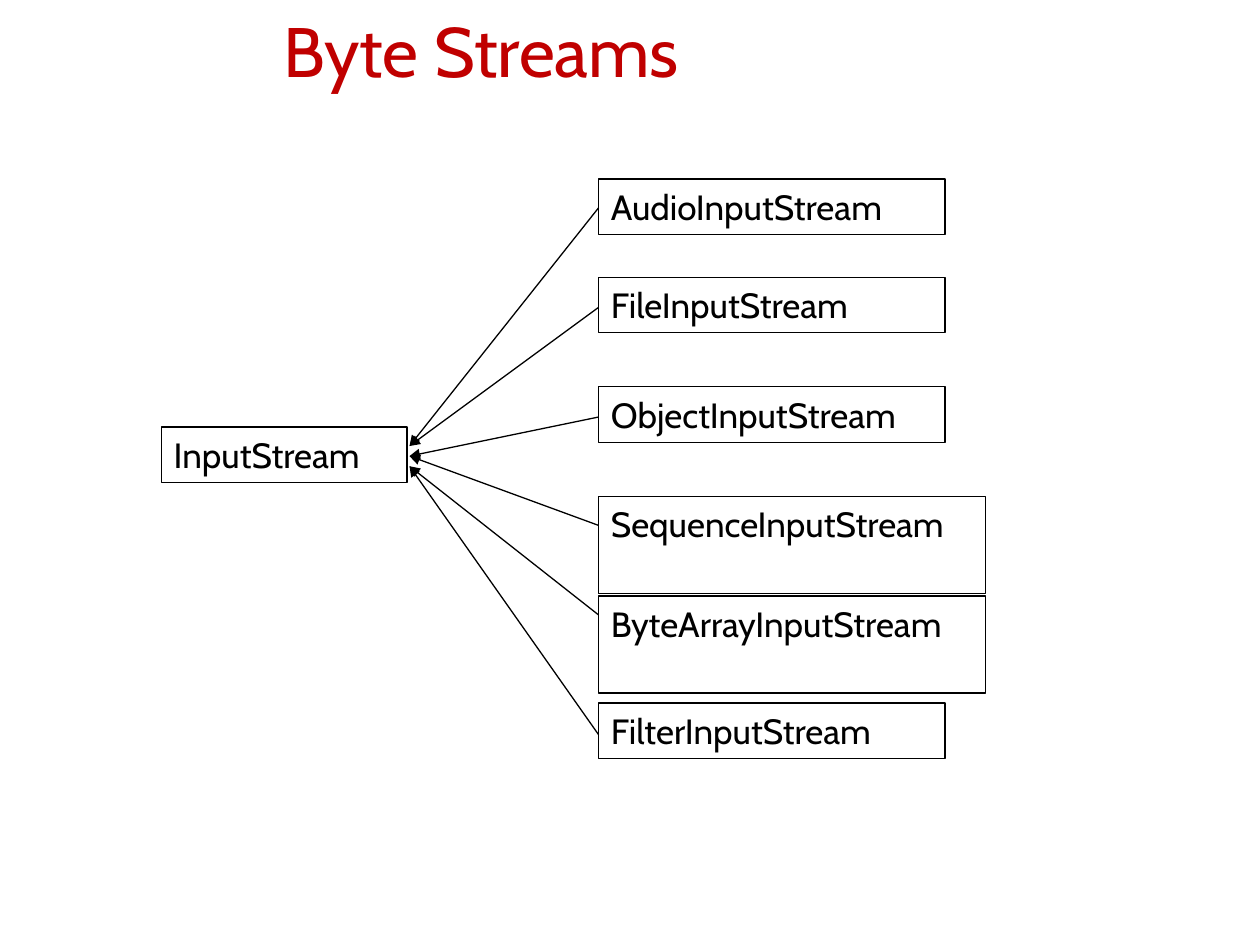
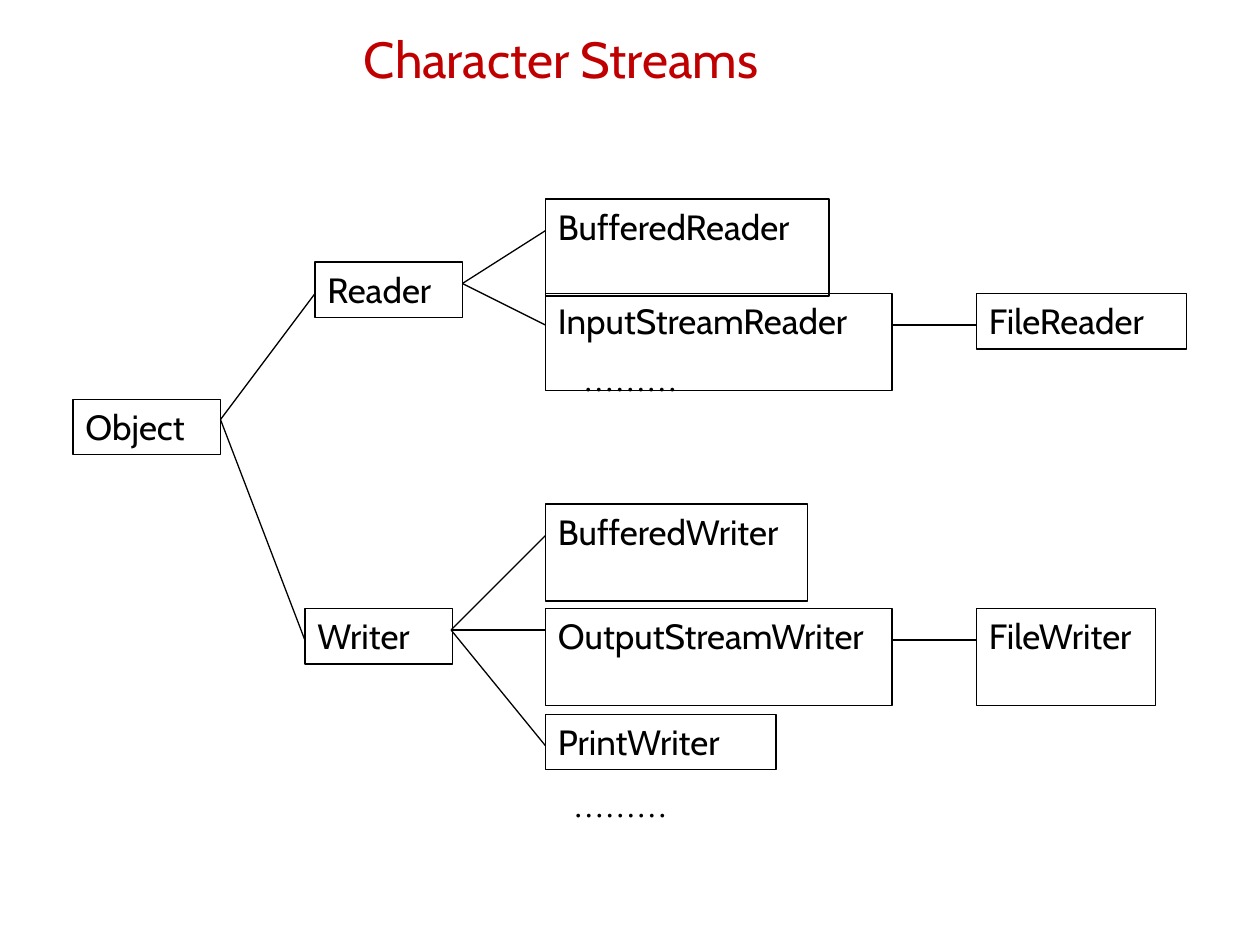
from pptx import Presentation
from pptx.dml.color import RGBColor
from pptx.enum.shapes import MSO_CONNECTOR, MSO_SHAPE
from pptx.enum.text import MSO_ANCHOR as Anchor, PP_ALIGN as Align
from pptx.oxml.ns import qn
from pptx.util import Inches, Pt
from lxml.etree import SubElement

BLACK = RGBColor(0x00, 0x00, 0x00)
TITLE_RED = RGBColor(0xC0, 0x00, 0x00)
FONT = "Cabin"
DOTS_FONT = "Times New Roman"
LINE_WIDTH = Pt(0.75)
SINGLE, DOUBLE = 0.44, 0.77

BYTE_STREAMS = [
    ("AudioInputStream", 1.42, 2.75, SINGLE, 3.54, 1.65),
    ("FileInputStream", 2.2, 2.75, SINGLE, 3.54, 2.44),
    ("ObjectInputStream", 3.07, 2.75, SINGLE, 3.62, 3.31),
    ("SequenceInputStream", 3.94, 3.07, DOUBLE, 3.62, 4.17),
    ("ByteArrayInputStream", 4.73, 3.07, DOUBLE, 3.7, 4.88),
    ("FilterInputStream", 5.58, 2.75, SINGLE, 3.7, 5.83),
]

CHARACTER_CLASSES = [
    ("Object", 0.58, 3.17, 1.17, SINGLE),
    ("Reader", 2.5, 2.08, 1.17, SINGLE),
    ("BufferedReader", 4.33, 1.58, 2.25, DOUBLE),
    ("InputStreamReader", 4.33, 2.33, 2.75, DOUBLE),
    ("FileReader", 7.75, 2.33, 1.67, SINGLE),
    ("Writer", 2.42, 4.83, 1.17, SINGLE),
    ("BufferedWriter", 4.33, 4, 2.08, DOUBLE),
    ("OutputStreamWriter", 4.33, 4.83, 2.75, DOUBLE),
    ("PrintWriter", 4.33, 5.67, 1.83, SINGLE),
    ("FileWriter", 7.75, 4.83, 1.42, DOUBLE),
]

CHARACTER_BRANCHES = [
    ((1.75, 3.33), [(2.5, 2.33), (2.42, 5.08)]),
    ((3.67, 2.25), [(4.33, 1.83), (4.33, 2.58)]),
    ((3.58, 5), [(4.33, 4.25), (4.33, 5), (4.33, 5.92)]),
    ((7.08, 2.58), [(7.75, 2.58)]),
    ((7.08, 5.08), [(7.75, 5.08)]),
]


def write_text(shape, text, size, color=BLACK, font=FONT, align=Align.LEFT, anchor=Anchor.TOP):
    """Put one formatted paragraph into a shape."""
    text_frame = shape.text_frame
    text_frame.text = text
    text_frame.word_wrap = True
    text_frame.vertical_anchor = anchor
    paragraph = text_frame.paragraphs[0]
    paragraph.alignment = align
    run_font = paragraph.runs[0].font
    run_font.name = font
    run_font.size = Pt(size)
    run_font.color.rgb = color


def add_text(slide, text, left, top, width, height, size, **style):
    """Add a plain text box."""
    text_box = slide.shapes.add_textbox(Inches(left), Inches(top), Inches(width), Inches(height))
    write_text(text_box, text, size, **style)


def add_title(slide, text, left, top, width, size):
    """Add the centred red slide title."""
    add_text(slide, text, left, top, width, 0.55, size,
             color=TITLE_RED, align=Align.CENTER, anchor=Anchor.MIDDLE)


def add_dots(slide, left, top):
    """Add the dots that stand for further classes."""
    add_text(slide, "………", left, top, 1.9, 0.4, 18, font=DOTS_FONT)


def add_class_box(slide, name, left, top, width, height):
    """Add an outlined box that names a class."""
    box = slide.shapes.add_shape(MSO_SHAPE.RECTANGLE, Inches(left), Inches(top),
                                 Inches(width), Inches(height))
    box.shadow.inherit = False
    box.fill.background()
    box.line.color.rgb = BLACK
    box.line.width = LINE_WIDTH
    write_text(box, name, 20)


def add_line(slide, start, end, arrow_at_start=False):
    """Add a thin line, with an arrowhead at its start if asked."""
    connector = slide.shapes.add_connector(
        MSO_CONNECTOR.STRAIGHT, *(Inches(value) for value in (*start, *end)))
    connector.line.color.rgb = BLACK
    connector.line.width = LINE_WIDTH
    properties = connector.element.spPr
    if arrow_at_start:
        SubElement(properties.find(qn("a:ln")), qn("a:headEnd"), type="triangle")
    SubElement(properties, qn("a:effectLst"))


def build_byte_streams(slide):
    """Draw the subclasses of InputStream pointing to it."""
    add_title(slide, "Byte Streams", 1.97, 0.12, 3.7, 40)
    add_class_box(slide, "InputStream", 1.28, 3.39, 1.95, SINGLE)
    for name, top, width, height, arrow_y, line_y in BYTE_STREAMS:
        add_class_box(slide, name, 4.75, top, width, height)
        add_line(slide, (3.25, arrow_y), (4.75, line_y), arrow_at_start=True)


def build_character_streams(slide):
    """Draw the tree of reader and writer classes."""
    add_title(slide, "Character Streams", 1.11, 0.19, 6.69, 29)
    for class_box in CHARACTER_CLASSES:
        add_class_box(slide, *class_box)
    for start, ends in CHARACTER_BRANCHES:
        for end in ends:
            add_line(slide, start, end)
    add_dots(slide, 4.53, 2.81)
    add_dots(slide, 4.45, 6.19)


def main():
    """Build both slides and save the presentation."""
    presentation = Presentation()
    presentation.slide_width = Inches(10)
    presentation.slide_height = Inches(7.5)
    blank_layout = presentation.slide_layouts[6]
    for build in (build_byte_streams, build_character_streams):
        build(presentation.slides.add_slide(blank_layout))
    presentation.save("out.pptx")


if __name__ == "__main__":
    main()
